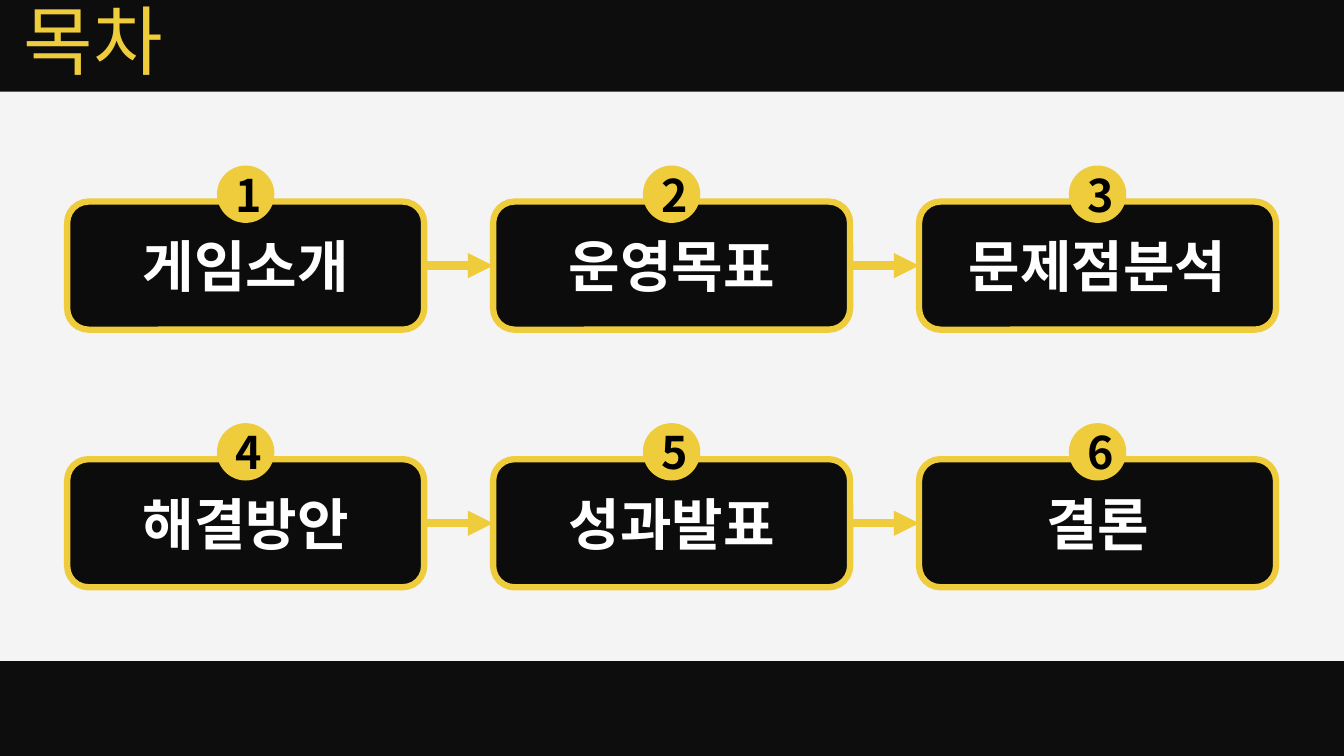
from lxml.etree import SubElement
from pptx import Presentation
from pptx.dml.color import RGBColor
from pptx.enum.shapes import MSO_CONNECTOR, MSO_SHAPE
from pptx.enum.text import MSO_ANCHOR, MSO_AUTO_SIZE, PP_ALIGN
from pptx.oxml import parse_xml
from pptx.oxml.ns import nsdecls, qn
from pptx.util import Pt

COLORS = {
    "page": "F4F4F4",
    "band": "0D0D0D",
    "card": "0C0C0C",
    "accent": "EFCC3C",
    "label": "FFFFFF",
    "number": "000000",
}
FONT = "Noto Sans CJK KR"

TOPICS = [
    ["게임소개", "운영목표", "문제점분석"],
    ["해결방안", "성과발표", "결론"],
]
CARD_LEFT, CARD_TOP = 48, 144
CARD_WIDTH, CARD_HEIGHT = 255, 91.5
COLUMN_STEP, ROW_STEP = 304.25, 184
BADGE_SIZE, BADGE_RISE = 41, 25.75


class AgendaSlide:
    def __init__(self, slide):
        self.slide = slide
        self.shapes = slide.shapes
        background = slide.background.fill
        background.solid()
        background.fore_color.rgb = self.color("page")

    def color(self, name):
        return RGBColor.from_string(COLORS[name])

    def label(self, shape, text, size, color, bold, anchor=MSO_ANCHOR.MIDDLE):
        """Fill the shape with one centred paragraph and return the paragraph."""
        frame = shape.text_frame
        frame.text = text
        frame.vertical_anchor = anchor
        paragraph = frame.paragraphs[0]
        paragraph.alignment = PP_ALIGN.CENTER
        font = paragraph.font
        font.size, font.bold, font.name = Pt(size), bold, FONT
        font.color.rgb = self.color(color)
        SubElement(font._element, qn("a:ea"), typeface=FONT)
        return paragraph

    def block(self, kind, left, top, width, height, fill, outline=None):
        shape = self.shapes.add_shape(kind, Pt(left), Pt(top), Pt(width), Pt(height))
        shape.shadow.inherit = False
        shape.fill.solid()
        shape.fill.fore_color.rgb = self.color(fill)
        if outline:
            shape.line.color.rgb = self.color(outline)
            shape.line.width = Pt(4.5)
        else:
            shape.line.fill.background()
        return shape

    def band(self, top):
        self.block(MSO_SHAPE.RECTANGLE, -4, top, 979, 71.25, "band")

    def title(self, text):
        heading = self.shapes.title
        heading.left, heading.top = Pt(-43), Pt(-41)
        heading.width, heading.height = Pt(219), Pt(106)
        paragraph = self.label(heading, text, 54, "accent", False, MSO_ANCHOR.BOTTOM)
        paragraph.line_spacing = 0.9
        heading.text_frame.auto_size = MSO_AUTO_SIZE.NONE
        paragraph.font._element.insert(0, parse_xml(
            f'<a:ln {nsdecls("a")} w="{Pt(3)}"><a:solidFill>'
            f'<a:srgbClr val="{COLORS["card"]}"/></a:solidFill></a:ln>'))
        # The heading must lie in front of the top band.
        self.shapes._spTree.append(heading._element)

    def card(self, number, topic, left, top):
        card = self.block(MSO_SHAPE.ROUNDED_RECTANGLE, left, top,
                          CARD_WIDTH, CARD_HEIGHT, "card", "accent")
        self.label(card, topic, 40, "label", True)
        badge = self.block(MSO_SHAPE.OVAL, left + (CARD_WIDTH - BADGE_SIZE) / 2,
                           top - BADGE_RISE, BADGE_SIZE, BADGE_SIZE, "accent")
        self.label(badge, str(number), 32, "number", True)
        return card

    def arrow(self, source, target):
        """Join the right side of one card to the left side of the next."""
        arrow = self.shapes.add_connector(MSO_CONNECTOR.STRAIGHT, 0, 0, 0, 0)
        arrow.begin_connect(source, 3)
        arrow.end_connect(target, 1)
        arrow.line.color.rgb = self.color("accent")
        arrow.line.width = Pt(6)
        SubElement(arrow.line._get_or_add_ln(), qn("a:tailEnd"), type="triangle")
        SubElement(arrow._element.spPr, qn("a:effectLst"))


def main():
    deck = Presentation()
    deck.slide_width, deck.slide_height = Pt(960), Pt(540)
    agenda = AgendaSlide(deck.slides.add_slide(deck.slide_layouts[5]))

    for band_top in (472.25, -5.75):
        agenda.band(band_top)
    agenda.title("목차")

    for row, topics in enumerate(TOPICS):
        cards = [
            agenda.card(row * len(topics) + column + 1, topic,
                        CARD_LEFT + column * COLUMN_STEP, CARD_TOP + row * ROW_STEP)
            for column, topic in enumerate(topics)
        ]
        for source, target in zip(cards, cards[1:]):
            agenda.arrow(source, target)

    deck.save("out.pptx")


if __name__ == "__main__":
    main()
